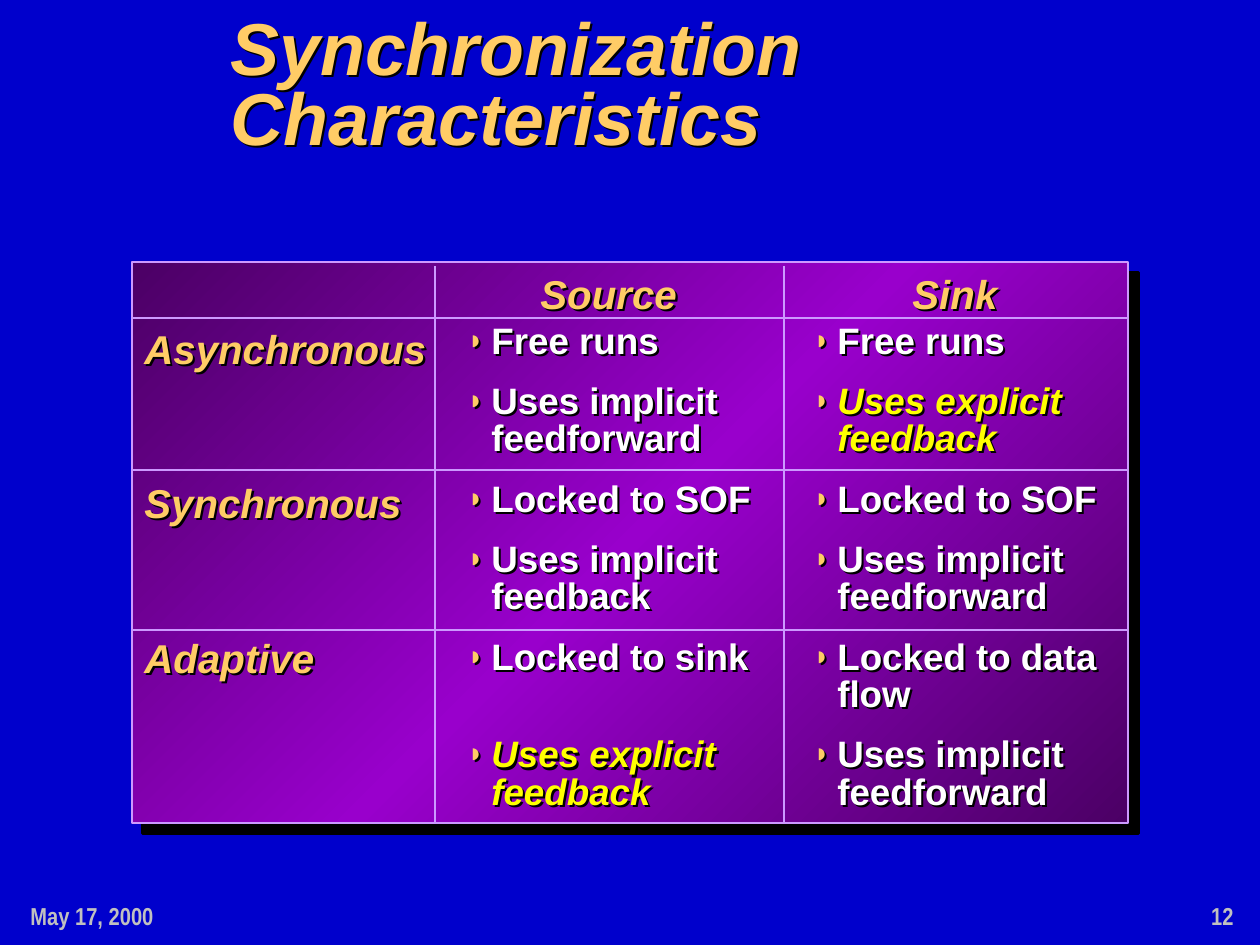
from copy import deepcopy
from dataclasses import dataclass

from lxml.etree import SubElement
from pptx import Presentation
from pptx.dml.color import RGBColor
from pptx.enum.shapes import MSO_CONNECTOR, MSO_SHAPE
from pptx.enum.text import MSO_ANCHOR, MSO_AUTO_SIZE, PP_ALIGN
from pptx.oxml.ns import qn
from pptx.util import Emu, Pt

COLORS = {
    "background": "0000CC",
    "gold": "FFCC66",
    "white": "FFFFFF",
    "yellow": "FFFF00",
    "gray": "C0C0C0",
    "grid": "CC99FF",
    "panel_edge": "4B0065",
    "panel_middle": "9900CC",
    "shadow": "000000",
}
EMU_PER_PX = 914400 / 126
LINE_WIDTH = Pt(1.5)
BULLET_GAP = 6.5
BLANK_LINE = 21.5


@dataclass(frozen=True)
class Box:
    left: int
    top: int
    width: int
    height: int


@dataclass(frozen=True)
class Line:
    x1: int
    y1: int
    x2: int
    y2: int


@dataclass(frozen=True)
class Label:
    text: str
    box: Box


@dataclass(frozen=True)
class Trait:
    text: str
    highlighted: bool = False
    lines_below: int = 0


@dataclass(frozen=True)
class TraitColumn:
    box: Box
    traits: tuple[Trait, ...]


PANEL = Box(132, 262, 996, 561)
COLUMN_EDGES = (435, 784)
ROW_EDGES = (318, 470, 630)
GRID = [Line(x, 266, x, 823) for x in COLUMN_EDGES] + [
    Line(132, y, 1128, y) for y in ROW_EDGES
]
LABELS = (
    Label("Source", Box(528, 263, 170, 60)),
    Label("Sink", Box(900, 263, 120, 60)),
    Label("Asynchronous", Box(132, 318, 316, 60)),
    Label("Synchronous", Box(132, 472, 292, 60)),
    Label("Adaptive", Box(132, 627, 204, 60)),
)
TRAIT_COLUMNS = (
    TraitColumn(Box(455, 318, 316, 500), (
        Trait("Free runs"),
        Trait("Uses implicit\vfeedforward"),
        Trait("Locked to SOF"),
        Trait("Uses implicit\vfeedback"),
        Trait("Locked to sink", lines_below=1),
        Trait("Uses explicit\vfeedback", highlighted=True),
    )),
    TraitColumn(Box(801, 318, 316, 500), (
        Trait("Free runs"),
        Trait("Uses explicit\vfeedback", highlighted=True),
        Trait("Locked to SOF"),
        Trait("Uses implicit\vfeedforward"),
        Trait("Locked to data\vflow"),
        Trait("Uses implicit\vfeedforward"),
    )),
)


def px(length: int) -> Emu:
    return Emu(round(length * EMU_PER_PX))


def rgb(name: str) -> RGBColor:
    return RGBColor.from_string(COLORS[name])


def place(box: Box) -> tuple[Emu, ...]:
    return px(box.left), px(box.top), px(box.width), px(box.height)


def add_drop_shadow(shape, distance: float) -> None:
    shape.shadow.inherit = False
    effects = shape.element.spPr.find(qn("a:effectLst"))
    shadow = SubElement(effects, qn("a:outerShdw"), blurRad="0",
                        dist=str(Pt(distance)), dir="2700000",
                        algn="ctr", rotWithShape="0")
    SubElement(shadow, qn("a:srgbClr"), val=COLORS["shadow"])


def add_panel(slide, box: Box) -> None:
    panel = slide.shapes.add_shape(MSO_SHAPE.RECTANGLE, *place(box))
    panel.fill.gradient()
    panel.fill.gradient_angle = 135
    first_stop = panel.element.spPr.find(".//" + qn("a:gs"))
    first_stop.addnext(deepcopy(first_stop))
    shades = ("panel_edge", "panel_middle", "panel_edge")
    for index, (stop, shade) in enumerate(zip(panel.fill.gradient_stops, shades)):
        stop.position = index / 2
        stop.color.rgb = rgb(shade)
    panel.line.color.rgb = rgb("grid")
    panel.line.width = LINE_WIDTH
    add_drop_shadow(panel, 8.5)


def add_grid_line(slide, line: Line) -> None:
    rule = slide.shapes.add_connector(
        MSO_CONNECTOR.STRAIGHT, px(line.x1), px(line.y1), px(line.x2), px(line.y2))
    rule.line.color.rgb = rgb("grid")
    rule.line.width = LINE_WIDTH
    SubElement(rule.element.spPr, qn("a:effectLst"))


def add_frame(slide, box: Box, *, wrap: bool = False, grow: bool = True,
              shadow: bool = True, anchor: MSO_ANCHOR = MSO_ANCHOR.TOP):
    """Add a text box and return its text frame; the shadow falls from the letters."""
    text_box = slide.shapes.add_textbox(*place(box))
    if shadow:
        add_drop_shadow(text_box, 1.7)
    frame = text_box.text_frame
    frame.word_wrap = wrap
    frame.auto_size = MSO_AUTO_SIZE.SHAPE_TO_FIT_TEXT if grow else MSO_AUTO_SIZE.NONE
    frame.vertical_anchor = anchor
    return frame


def write(paragraph, text: str, *, size: float, color: str = "gold",
          font: str = "Arial", italic: bool = False, spacing: float = 1.0,
          align: PP_ALIGN = PP_ALIGN.LEFT) -> None:
    paragraph.text = text
    paragraph.alignment = align
    paragraph.line_spacing = spacing
    for run in paragraph.runs:
        run.font.size = Pt(size)
        run.font.bold = True
        run.font.italic = italic
        run.font.name = font
        run.font.color.rgb = rgb(color)


def add_bullet(paragraph) -> None:
    properties = paragraph._p.get_or_add_pPr()
    properties.set("marL", str(px(24)))
    properties.set("indent", str(-px(24)))
    color = SubElement(properties, qn("a:buClr"))
    SubElement(color, qn("a:srgbClr"), val=COLORS["gold"])
    SubElement(properties, qn("a:buSzPct"), val="75000")
    SubElement(properties, qn("a:buFont"), typeface="Arial")
    SubElement(properties, qn("a:buChar"), char="◗")


def add_traits(slide, column: TraitColumn) -> None:
    frame = add_frame(slide, column.box)
    for index, trait in enumerate(column.traits):
        paragraph = frame.add_paragraph() if index else frame.paragraphs[0]
        add_bullet(paragraph)
        write(paragraph, trait.text, size=21, spacing=0.85,
              color="yellow" if trait.highlighted else "white",
              italic=trait.highlighted)
        paragraph.space_before = Pt(BULLET_GAP if index else 0)
        paragraph.space_after = Pt(BULLET_GAP + trait.lines_below * BLANK_LINE)


def add_footer(slide, text: str, left: int, align: PP_ALIGN) -> None:
    frame = add_frame(slide, Box(left, 896, 262, 40), wrap=True, grow=False,
                      shadow=False, anchor=MSO_ANCHOR.MIDDLE)
    write(frame.paragraphs[0], text, size=14, color="gray", font="Arial Narrow",
          align=align)


def main() -> None:
    deck = Presentation()
    deck.slide_width, deck.slide_height = px(1260), px(945)
    slide = deck.slides.add_slide(deck.slide_layouts[6])
    slide.background.fill.solid()
    slide.background.fill.fore_color.rgb = rgb("background")

    add_panel(slide, PANEL)
    for line in GRID:
        add_grid_line(slide, line)
    for label in LABELS:
        write(add_frame(slide, label.box).paragraphs[0], label.text,
              size=23, italic=True)
    for column in TRAIT_COLUMNS:
        add_traits(slide, column)

    title = add_frame(slide, Box(218, 13, 1019, 153), wrap=True,
                      anchor=MSO_ANCHOR.BOTTOM)
    write(title.paragraphs[0], "Synchronization Characteristics",
          size=42, italic=True, spacing=0.8)
    add_footer(slide, "12", 984, PP_ALIGN.RIGHT)
    add_footer(slide, "May 17, 2000", 18, PP_ALIGN.LEFT)
    deck.save("out.pptx")


if __name__ == "__main__":
    main()
